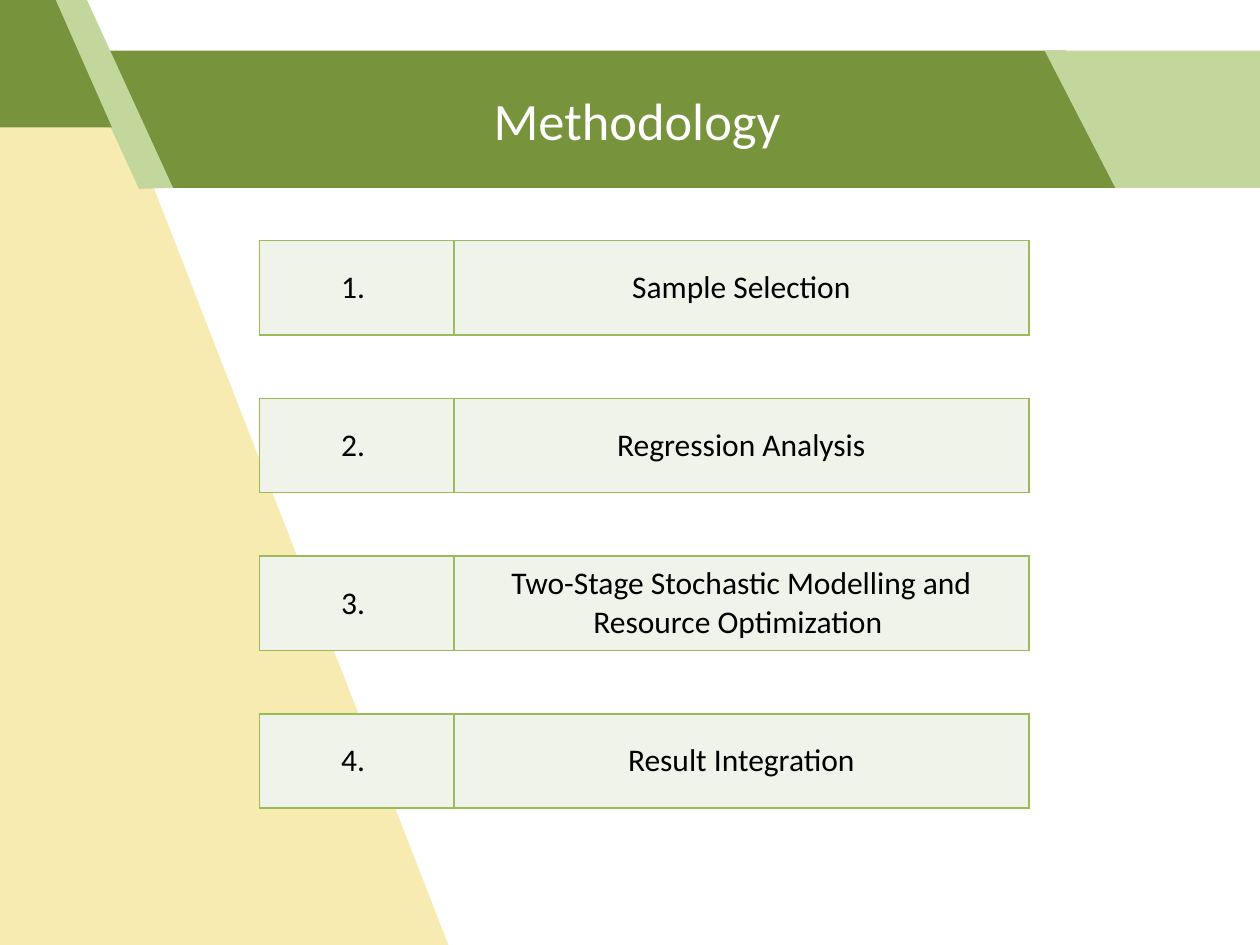
from lxml import etree
from pptx import Presentation
from pptx.dml.color import RGBColor
from pptx.enum import shapes, text
from pptx.oxml.ns import qn
from pptx.util import Cm, Pt

GREEN = RGBColor(0x77, 0x93, 0x3C)
LIGHT_GREEN = RGBColor(0xC3, 0xD6, 0x9B)
YELLOW = RGBColor(0xEA, 0xBD, 0x00)
CELL_FILL = RGBColor(0xEF, 0xF3, 0xEA)
BORDER = RGBColor(0x9B, 0xBB, 0x59)
WHITE = RGBColor(0xFF, 0xFF, 0xFF)
BLACK = RGBColor(0, 0, 0)
FONT = "Calibri"

TITLE = "Methodology"
STEPS = [
    "Sample Selection",
    "Regression Analysis",
    "Two-Stage Stochastic Modelling and Resource Optimization ",
    "Result Integration",
]
WEDGE = [(9.04, 19.05), (1.57, -0.15), (-0.15, -0.13), (-0.05, 19.18)]
BANDS = [
    (2.06, 1.02, 20.85, 2.77, 0.515, 0, GREEN),
    (21.06, 1.02, 5.87, 2.77, 0.515, 0, LIGHT_GREEN),
    (0.84, -0.69, 2.57, 4.52, 0.733, 358, LIGHT_GREEN),
    (-3.96, -0.2, 6.22, 2.77, 0.442, 0, GREEN),
]
TABLE_LEFT, TABLE_TOP, TABLE_STEP, ROW_HEIGHT = 5.23, 4.85, 3.18, 1.9
COLUMNS = [3.92, 11.59]


def paint(sp, color):
    sp.shadow.inherit = False
    sp.fill.solid()
    sp.fill.fore_color.rgb = color
    sp.line.fill.background()


def write(tf, content, size, color):
    p = tf.paragraphs[0]
    p.alignment = text.PP_ALIGN.CENTER
    r = p.add_run()
    r.text = content
    r.font.name = FONT
    r.font.size = Pt(size)
    r.font.color.rgb = color


def add_borders(cell):
    tc_pr = cell._tc.get_or_add_tcPr()
    for i, side in enumerate(("lnL", "lnR", "lnT", "lnB")):
        ln = etree.Element(qn("a:" + side), w=str(Pt(1)))
        fill = etree.SubElement(ln, qn("a:solidFill"))
        etree.SubElement(fill, qn("a:srgbClr"), val=str(BORDER))
        tc_pr.insert(i, ln)


prs = Presentation()
prs.slide_width, prs.slide_height = Cm(25.4), Cm(19.05)
s = prs.slides.add_slide(prs.slide_layouts[6])

points = [(Cm(x), Cm(y)) for x, y in WEDGE]
builder = s.shapes.build_freeform(*points[0])
builder.add_line_segments(points[1:], close=True)
wedge = builder.convert_to_shape()
paint(wedge, YELLOW)
wedge_color = wedge._element.spPr.find(qn("a:solidFill"))[0]
etree.SubElement(wedge_color, qn("a:alpha"), val="30000")

for left, top, width, height, slant, angle, color in BANDS:
    sp = s.shapes.add_shape(
        shapes.MSO_SHAPE.PARALLELOGRAM, Cm(left), Cm(top), Cm(width), Cm(height)
    )
    sp.adjustments[0] = slant
    sp.rotation = angle
    sp._element.spPr.xfrm.set("flipH", "1")
    paint(sp, color)

title = s.shapes.add_textbox(Cm(3.51), Cm(1.02), Cm(18.67), Cm(2.77))
tf = title.text_frame
tf.word_wrap = True
tf.vertical_anchor = text.MSO_ANCHOR.MIDDLE
tf.margin_left = tf.margin_right = tf.margin_top = tf.margin_bottom = Cm(0.25)
write(tf, TITLE, 30, WHITE)

for i, step in enumerate(STEPS):
    table = s.shapes.add_table(
        1, 2, Cm(TABLE_LEFT), Cm(TABLE_TOP + i * TABLE_STEP),
        Cm(sum(COLUMNS)), Cm(ROW_HEIGHT),
    ).table
    table.first_row = table.horz_banding = False
    for j, content in enumerate((f"{i + 1}. ", step)):
        table.columns[j].width = Cm(COLUMNS[j])
        cell = table.cell(0, j)
        cell.fill.solid()
        cell.fill.fore_color.rgb = CELL_FILL
        cell.vertical_anchor = text.MSO_ANCHOR.MIDDLE
        add_borders(cell)
        write(cell.text_frame, content, 18, BLACK)

prs.save("out.pptx")
